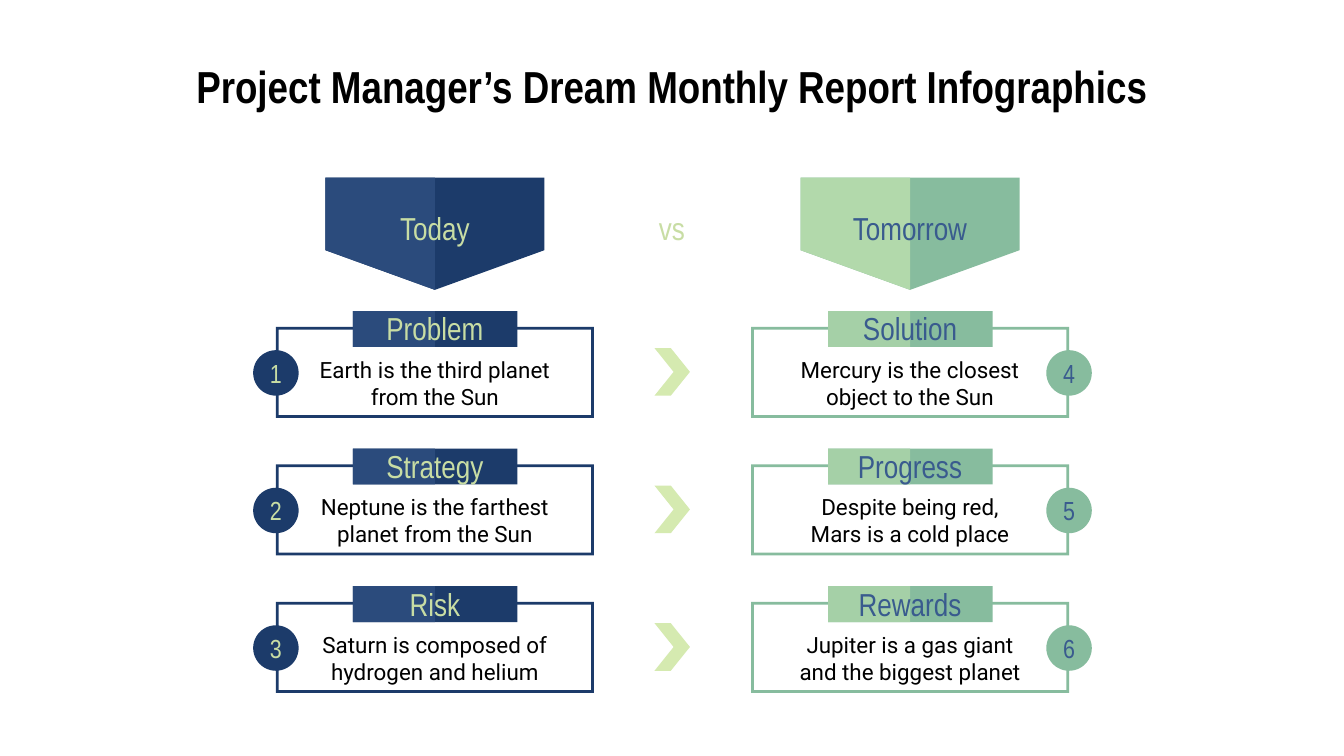
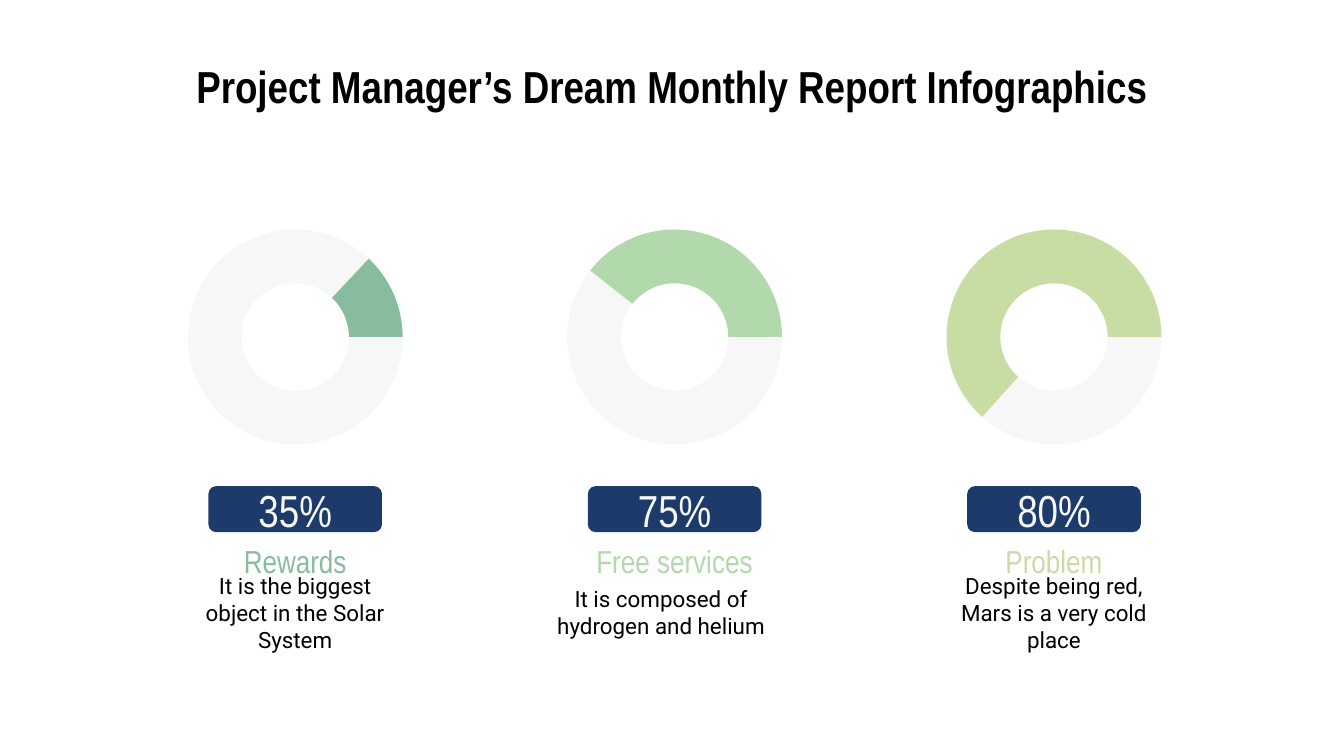
from pptx import Presentation
from pptx.dml.color import RGBColor
from pptx.enum.shapes import MSO_SHAPE
from pptx.enum.text import MSO_ANCHOR, PP_ALIGN
from pptx.util import Cm, Pt

BLACK = RGBColor(0x00, 0x00, 0x00)
NAVY = RGBColor(0x1C, 0x3B, 0x6A)
NAVY_LIGHT = RGBColor(0x2B, 0x4B, 0x7C)
BLUE = RGBColor(0x39, 0x5B, 0x8E)
GREEN = RGBColor(0x87, 0xBC, 0x9E)
GREEN_MID = RGBColor(0xA5, 0xD0, 0xA7)
GREEN_LIGHT = RGBColor(0xB2, 0xD9, 0xAB)
LIME = RGBColor(0xC8, 0xDD, 0xA4)
LIME_LIGHT = RGBColor(0xD5, 0xEA, 0xB0)
GREY = RGBColor(0xF7, 0xF7, 0xF7)

HEAD_FONT, BODY_FONT = "Arial Narrow", "Roboto"
INSET = 0.25
TITLE = "Project Manager’s Dream Monthly Report Infographics"

SIDES = [
    dict(name="Today", axis=8.22, badge_side=-1, dark=NAVY, flag=NAVY_LIGHT,
         band=NAVY_LIGHT, text=LIME, cards=[
             ("1", "Problem", "Earth is the third planet from the Sun"),
             ("2", "Strategy", "Neptune is the farthest planet from the Sun"),
             ("3", "Risk", "Saturn is composed of hydrogen and helium")]),
    dict(name="Tomorrow", axis=17.2, badge_side=1, dark=GREEN, flag=GREEN_LIGHT,
         band=GREEN_MID, text=BLUE, cards=[
             ("4", "Solution", "Mercury is the closest object to the Sun"),
             ("5", "Progress", "Despite being red,\nMars is a cold place"),
             ("6", "Rewards", "Jupiter is a gas giant\nand the biggest planet")]),
]
CARD_TOPS = [6.18 + 2.6 * row for row in range(3)]
CARD_WIDTH, CARD_HEIGHT = 6.01, 1.72
FLAG_TOP, FLAG_SHOULDER, FLAG_TIP, FLAG_HALF = 3.36, 4.73, 5.48, 2.07
PAGE_AXIS = 12.7

GAUGES = [
    ("35%", "Rewards", "It is the biggest object in the Solar System", GREEN, 313.24, 0.76),
    ("75%", "Free services", "It is composed of hydrogen and helium", GREEN_LIGHT, 218.2, INSET),
    ("80%", "Problem", "Despite being red, Mars is a very cold place", LIME, 131.9, 0.76),
]
GAUGE_AXIS, GAUGE_PITCH, GAUGE_SIZE = 5.58, 7.17, 4.06


def paint(shape, color):
    shape.shadow.inherit = False
    shape.fill.solid()
    shape.fill.fore_color.rgb = color
    shape.line.fill.background()
    return shape


def add_block(page, kind, left, top, width, height, color, *adjustments):
    shape = page.shapes.add_shape(kind, Cm(left), Cm(top), Cm(width), Cm(height))
    for index, value in enumerate(adjustments):
        shape.adjustments[index] = value
    return paint(shape, color)


def add_outline(page, points, color):
    corners = [(Cm(x), Cm(y)) for x, y in points]
    builder = page.shapes.build_freeform(*corners[0])
    builder.add_line_segments(corners[1:], close=True)
    return paint(builder.convert_to_shape(), color)


def write(shape, text, size, color, font=HEAD_FONT, bold=False, anchor=MSO_ANCHOR.MIDDLE,
          left=INSET, right=INSET, vertical=INSET, wrap=True):
    frame = shape.text_frame
    frame.word_wrap = wrap
    frame.vertical_anchor = anchor
    frame.margin_left, frame.margin_right = Cm(left), Cm(right)
    frame.margin_top = frame.margin_bottom = Cm(vertical)
    para = frame.paragraphs[0]
    para.alignment = PP_ALIGN.CENTER
    for index, line in enumerate(text.split("\n")):
        if index:
            para.add_line_break()
        span = para.add_run()
        span.text = line
        span.font.name = font
        span.font.size = Pt(size)
        span.font.bold = bold
        span.font.color.rgb = color


def add_text(page, axis, top, width, height, text, size, color, **style):
    box = page.shapes.add_textbox(Cm(axis - width / 2), Cm(top), Cm(width), Cm(height))
    write(box, text, size, color, **style)


def add_page(deck):
    page = deck.slides.add_slide(deck.slide_layouts[6])
    add_text(page, PAGE_AXIS, 0.86, 24.41, 1.6, TITLE, 24, BLACK,
             bold=True, anchor=MSO_ANCHOR.TOP)
    return page


def add_flag(page, side):
    axis = side["axis"]
    left, right = axis - FLAG_HALF, axis + FLAG_HALF
    left_half = [(left, FLAG_TOP), (left, FLAG_SHOULDER), (axis, FLAG_TIP)]
    add_outline(page, left_half + [(right, FLAG_SHOULDER), (right, FLAG_TOP)], side["dark"])
    add_outline(page, left_half + [(axis, FLAG_TOP)], side["flag"])
    add_text(page, axis, 3.71, 5.66, 1.19, side["name"], 17, side["text"])


def add_card(page, side, top, number, label, body):
    axis = side["axis"]
    add_block(page, MSO_SHAPE.FRAME, axis - CARD_WIDTH / 2, top, CARD_WIDTH, CARD_HEIGHT,
              side["dark"], 0.03)
    for width, color in ((3.11, side["dark"]), (1.55, side["band"])):
        add_block(page, MSO_SHAPE.RECTANGLE, axis - 1.55, top - 0.3, width, 0.68, color)
    badge_axis = axis + side["badge_side"] * CARD_WIDTH / 2
    badge = add_block(page, MSO_SHAPE.OVAL, badge_axis - 0.43, top + 0.44, 0.86, 0.86, side["dark"])
    write(badge, number, 14, side["text"], left=0, right=0, vertical=0, wrap=False)
    add_text(page, axis, top - 0.57, 5.21, 1.19, label, 17, side["text"])
    add_text(page, axis, top + 0.32, 5.21, 1.47, body, 12, BLACK, font=BODY_FONT)


def build_comparison(deck):
    page = add_page(deck)
    for side in SIDES:
        add_flag(page, side)
        for top, card in zip(CARD_TOPS, side["cards"]):
            add_card(page, side, top, *card)
    for top in CARD_TOPS:
        add_block(page, MSO_SHAPE.CHEVRON, PAGE_AXIS - 0.33, top + 0.4, 0.67, 0.9,
                  LIME_LIGHT, 0.54)
    add_text(page, PAGE_AXIS, 3.71, 1.37, 1.19, "vs", 17, LIME)


def build_gauges(deck):
    page = add_page(deck)
    for column, (percent, label, body, color, start, inset) in enumerate(GAUGES):
        axis = GAUGE_AXIS + column * GAUGE_PITCH
        ring = (axis - GAUGE_SIZE / 2, 4.34, GAUGE_SIZE, GAUGE_SIZE)
        add_block(page, MSO_SHAPE.DONUT, *ring, GREY, 0.25)
        add_block(page, MSO_SHAPE.BLOCK_ARC, *ring, color, start * 0.6, 0, 0.25)
        add_block(page, MSO_SHAPE.ROUNDED_RECTANGLE, axis - 1.64, 9.19, 3.28, 0.87, NAVY, 0.17)
        add_text(page, axis, 9.04, 2.39, 1.19, percent, 24, GREY)
        add_text(page, axis, 10.03, 4.14, 1.14, label, 17, color)
        add_text(page, axis, 10.9, 5.36, 1.35, body, 12, BLACK, font=BODY_FONT,
                 left=inset, right=0.76)


def main():
    deck = Presentation()
    deck.slide_width, deck.slide_height = Cm(25.4), Cm(14.29)
    build_comparison(deck)
    build_gauges(deck)
    deck.save("out.pptx")


if __name__ == "__main__":
    main()
